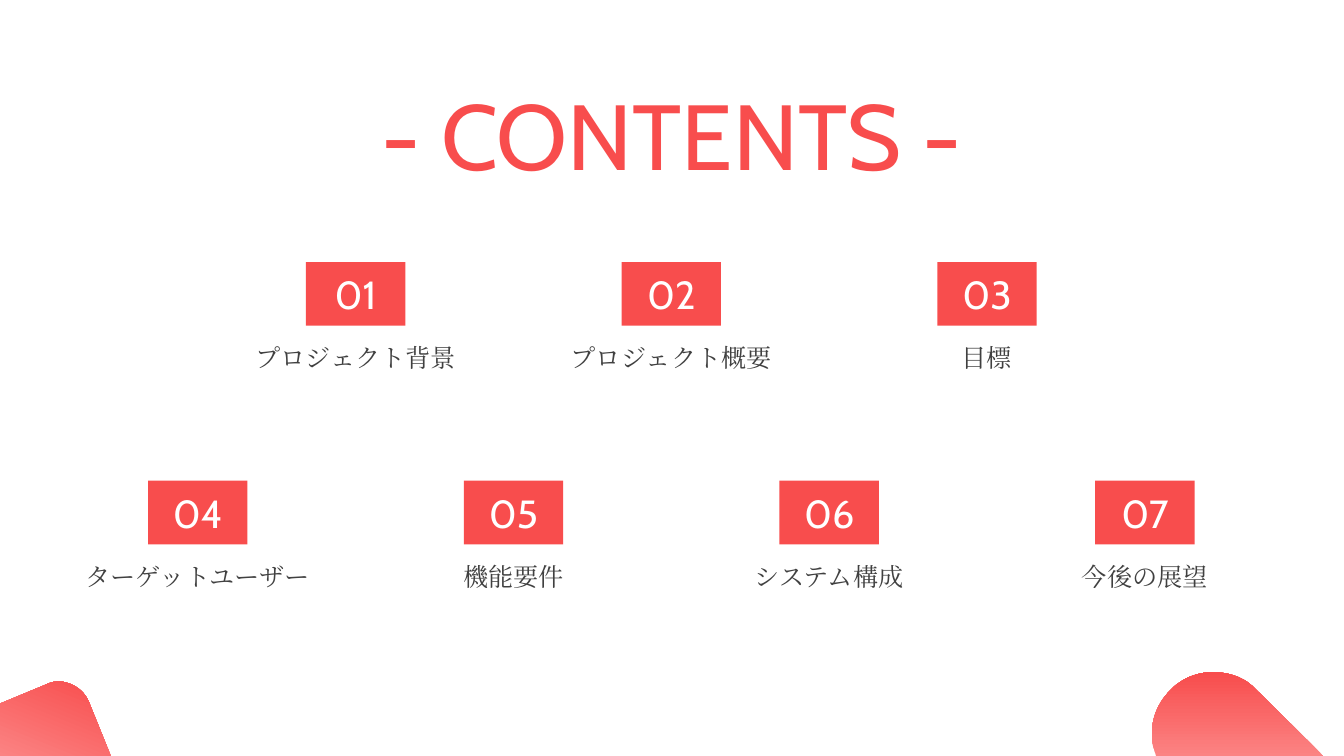
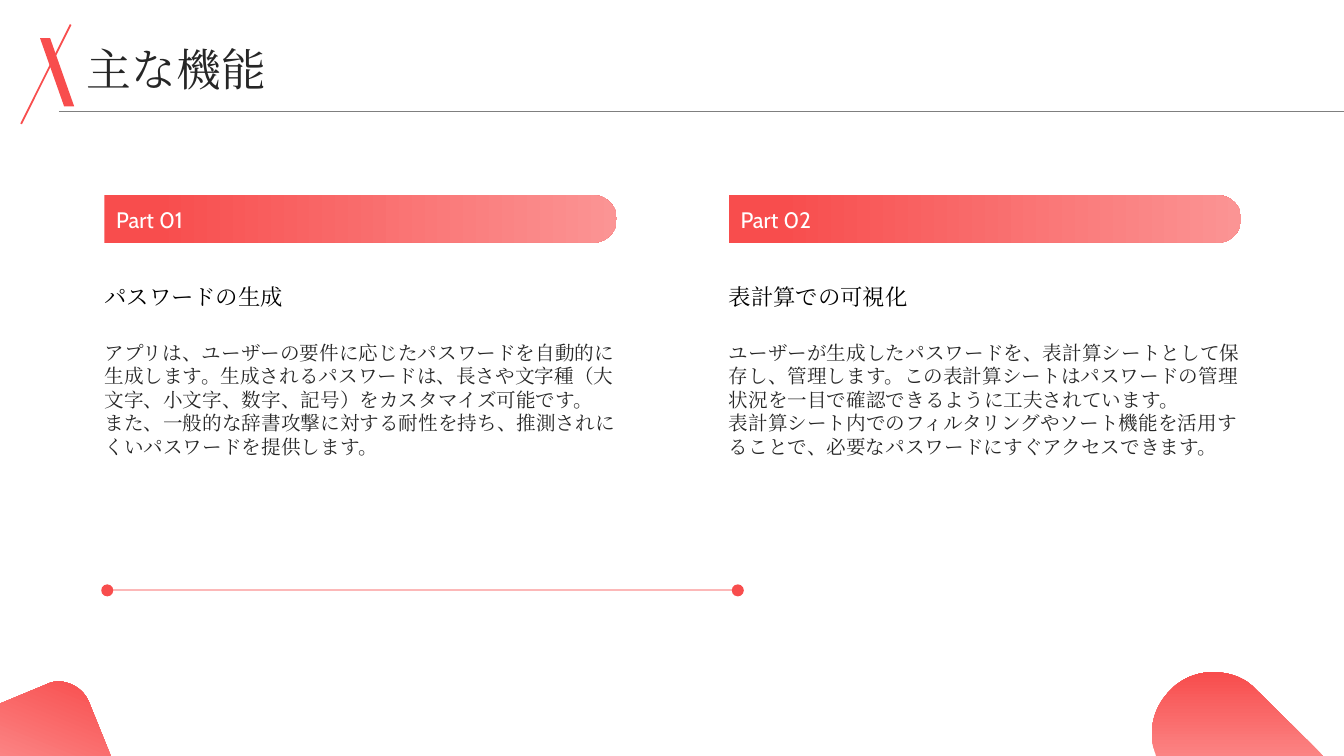
import lxml.etree
import pptx
import pptx.dml.color
import pptx.enum.shapes
import pptx.enum.text
import pptx.oxml.ns
import pptx.util

Pt = pptx.util.Pt
SHAPES = pptx.enum.shapes.MSO_SHAPE
ALIGN = pptx.enum.text.PP_ALIGN
ANCHOR = pptx.enum.text.MSO_ANCHOR
SLIDE_W, SLIDE_H = 960, 540

COLORS = {
    "red": "F84D4D",
    "light_red": "FB9494",
    "corner_red": "FB8383",
    "pale_red": "FCB8B8",
    "rule": "7F7F7F",
    "white": "FFFFFF",
    "black": "000000",
    "dark": "262626",
    "label": "404040",
}

# Text styles: font attributes plus a colour key
STYLES = {
    "contents_title": ({"name": "Cabin", "size": Pt(66)}, "red"),
    "title": ({"name": "Cambria", "size": Pt(32)}, "dark"),
    "number": ({"name": "Cabin", "size": Pt(28)}, "white"),
    "label": ({"name": "Cambria", "size": Pt(18)}, "label"),
    "part": ({"name": "Cabin", "size": Pt(16)}, "white"),
    "heading": ({"name": "Cambria", "size": Pt(16)}, "black"),
    "body": ({"name": "Cambria", "size": Pt(14)}, "dark"),
}

# Corner outlines: start point, then edges (2 numbers: line, 6: Bézier curve)
CORNERS = [
    ((42.5, 486.7),
     [(51.1, 487.4, 59.8, 492.5, 63.4, 501.1), (79.2, 540), (0, 540),
      (0, 502.6), (33.1, 488.9), (36, 487.4, 39.6, 486.7, 42.5, 486.7)], 68),
    ((866.2, 480.2),
     [(877.7, 480.2, 889.2, 483.8, 897.1, 492.5), (945.4, 540), (825.8, 540),
      (823.7, 532.8), (820.8, 518.4, 825.1, 504, 835.9, 493.2),
      (843.8, 484.6, 855.4, 480.2, 866.2, 480.2)], 90),
]

CONTENTS_ROWS = [
    (187.2, ["プロジェクト背景", "プロジェクト概要", "目標"]),
    (343.4, ["ターゲットユーザー", "機能要件", "システム構成", "今後の展望"]),
]

PARTS = [
    ("パスワードの生成",
     ["アプリは、ユーザーの要件に応じたパスワードを自動的に生成します。"
      "生成されるパスワードは、長さや文字種（大文字、小文字、数字、記号）をカスタマイズ可能です。",
      "また、一般的な辞書攻撃に対する耐性を持ち、推測されにくいパスワードを提供します。"]),
    ("表計算での可視化",
     ["ユーザーが生成したパスワードを、表計算シートとして保存し、管理します。"
      "この表計算シートはパスワードの管理状況を一目で確認できるように工夫されています。",
      "表計算シート内でのフィルタリングやソート機能を活用することで、"
      "必要なパスワードにすぐアクセスできます。"]),
]


def rgb(color):
    return pptx.dml.color.RGBColor.from_string(COLORS[color])


def write(shape, paragraphs, style, align=ALIGN.LEFT, anchor=ANCHOR.MIDDLE):
    """Fill a shape's text frame with paragraphs in one style."""
    frame = shape.text_frame
    frame_format = {
        "margin_left": 0, "margin_top": 0, "margin_right": 0, "margin_bottom": 0,
        "word_wrap": True, "vertical_anchor": anchor,
        "auto_size": pptx.enum.text.MSO_AUTO_SIZE.NONE,
    }
    for name, value in frame_format.items():
        setattr(frame, name, value)
    font_format, color = STYLES[style]
    for index, text in enumerate(paragraphs):
        paragraph = frame.add_paragraph() if index else frame.paragraphs[0]
        paragraph.alignment = align
        run = paragraph.add_run()
        run.text = text
        for name, value in font_format.items():
            setattr(run.font, name, value)
        run.font.color.rgb = rgb(color)
        # East Asian typeface
        east_asian = lxml.etree.SubElement(
            run._r.get_or_add_rPr(), pptx.oxml.ns.qn("a:ea"))
        east_asian.set("typeface", font_format["name"])


def add_text(slide, box, paragraphs, style, **layout):
    write(slide.shapes.add_textbox(*map(Pt, box)), paragraphs, style, **layout)


def set_title(slide, box, text, style, align):
    title = slide.shapes.title
    for name, value in zip(("left", "top", "width", "height"), box):
        setattr(title, name, Pt(value))
    write(title, [text], style, align)


def strip(shape):
    shape.shadow.inherit = False
    shape.line.fill.background()


def add_solid(slide, preset, box, color):
    shape = slide.shapes.add_shape(preset, *map(Pt, box))
    strip(shape)
    shape.fill.solid()
    shape.fill.fore_color.rgb = rgb(color)
    return shape


def fill_gradient(shape, stops, angle):
    strip(shape)
    shape.fill.gradient()
    shape.fill.gradient_angle = angle
    for stop, (position, color) in zip(shape.fill.gradient_stops, stops):
        stop.position = position
        stop.color.rgb = rgb(color)


def add_line(slide, ends, color, width):
    line = slide.shapes.add_connector(
        pptx.enum.shapes.MSO_CONNECTOR.STRAIGHT, *map(Pt, ends))
    line.line.color.rgb = rgb(color)
    line.line.width = Pt(width)
    lxml.etree.SubElement(line._element.spPr, pptx.oxml.ns.qn("a:effectLst"))


def curve_points(start, controls, steps=16):
    """Points along a cubic Bézier curve, without its start."""
    points = [start, controls[:2], controls[2:4], controls[4:]]
    for step in range(1, steps + 1):
        t = step / steps
        weights = ((1 - t) ** 3, 3 * t * (1 - t) ** 2, 3 * t * t * (1 - t), t ** 3)
        yield tuple(sum(w * p[axis] for w, p in zip(weights, points)) for axis in (0, 1))


def add_corners(slide):
    for start, edges, angle in CORNERS:
        outline = [start]
        for edge in edges:
            outline += curve_points(outline[-1], edge) if len(edge) == 6 else [edge]
        points = [(Pt(x), Pt(y)) for x, y in outline]
        builder = slide.shapes.build_freeform(*points[0])
        builder.add_line_segments(points[1:])
        fill_gradient(builder.convert_to_shape(),
                      [(0, "corner_red"), (1, "red")], angle)


def add_slide(deck):
    slide = deck.slides.add_slide(deck.slide_layouts[5])
    add_corners(slide)
    return slide


def add_contents_item(slide, center, top, number, label):
    badge = add_solid(slide, SHAPES.RECTANGLE, (center - 35.5, top, 71, 45.5), "red")
    write(badge, [f"{number:02d}"], "number", ALIGN.CENTER)
    add_text(slide, (center - 99.5, top + 57.2, 199, 70.6), [label], "label",
             align=ALIGN.CENTER, anchor=ANCHOR.TOP)


def add_title_mark(slide):
    slash = add_solid(slide, SHAPES.PARALLELOGRAM, (28.6, 27.2, 24.4, 48.8), "red")
    slash.adjustments[0] = 0.705
    slash._element.spPr.xfrm.set("flipH", "1")
    add_line(slide, (50.5, 17.5, 15.1, 88.5), "red", 1.25)
    add_line(slide, (42, 79.6, SLIDE_W, 79.6), "rule", 0.75)


def add_part(slide, left, number, heading, body):
    width, band_height, band_middle = 366, 34, 156.4
    # Upright shape turned so that its round end faces right
    band = slide.shapes.add_shape(
        SHAPES.ROUND_2_SAME_RECTANGLE,
        Pt(left + (width - band_height) / 2), Pt(band_middle - width / 2),
        Pt(band_height), Pt(width))
    band.rotation = 90
    band.adjustments[0] = 0.5
    fill_gradient(band, [(0.1, "red"), (1, "light_red")], 90)
    add_text(slide, (left + 8.4, 145.4, 153, 22.3), [f"Part {number:02d}"], "part")
    add_text(slide, (left, 180.7, width, 62.6), [heading], "heading")
    add_text(slide, (left, 243.4, width, 140), body, "body", anchor=ANCHOR.TOP)


def build_contents(deck):
    slide = add_slide(deck)
    set_title(slide, (187.2, 54.7, 584.6, 82), "- CONTENTS -",
              "contents_title", ALIGN.CENTER)
    number = 1
    for top, labels in CONTENTS_ROWS:
        for index, label in enumerate(labels):
            center = 479.5 + (index - (len(labels) - 1) / 2) * 225.5
            add_contents_item(slide, center, top, number, label)
            number += 1


def build_features(deck):
    slide = add_slide(deck)
    set_title(slide, (62, 31.7, 845, 34), "主な機能", "title", ALIGN.LEFT)
    add_title_mark(slide)
    for index, (heading, body) in enumerate(PARTS):
        add_part(slide, 74.6 + index * 446, index + 1, heading, body)
    # Divider with a dot at each end
    dots, middle, dot = (76.6, 527), 421.7, 8.6
    add_line(slide, (dots[0], middle, dots[1], middle), "pale_red", 1.5)
    for center in dots:
        add_solid(slide, SHAPES.OVAL,
                  (center - dot / 2, middle - dot / 2, dot, dot), "red")


def main():
    deck = pptx.Presentation()
    deck.slide_width, deck.slide_height = Pt(SLIDE_W), Pt(SLIDE_H)
    build_contents(deck)
    build_features(deck)
    deck.save("out.pptx")


if __name__ == "__main__":
    main()
